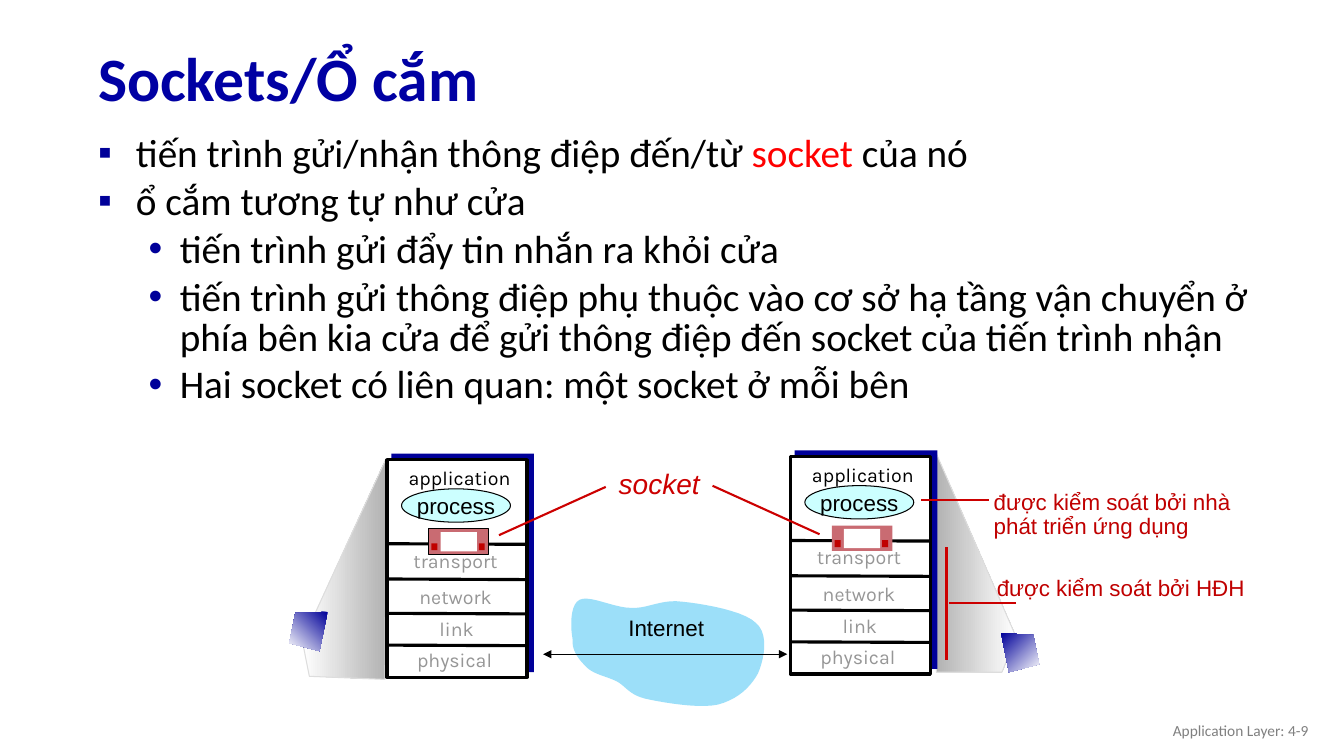
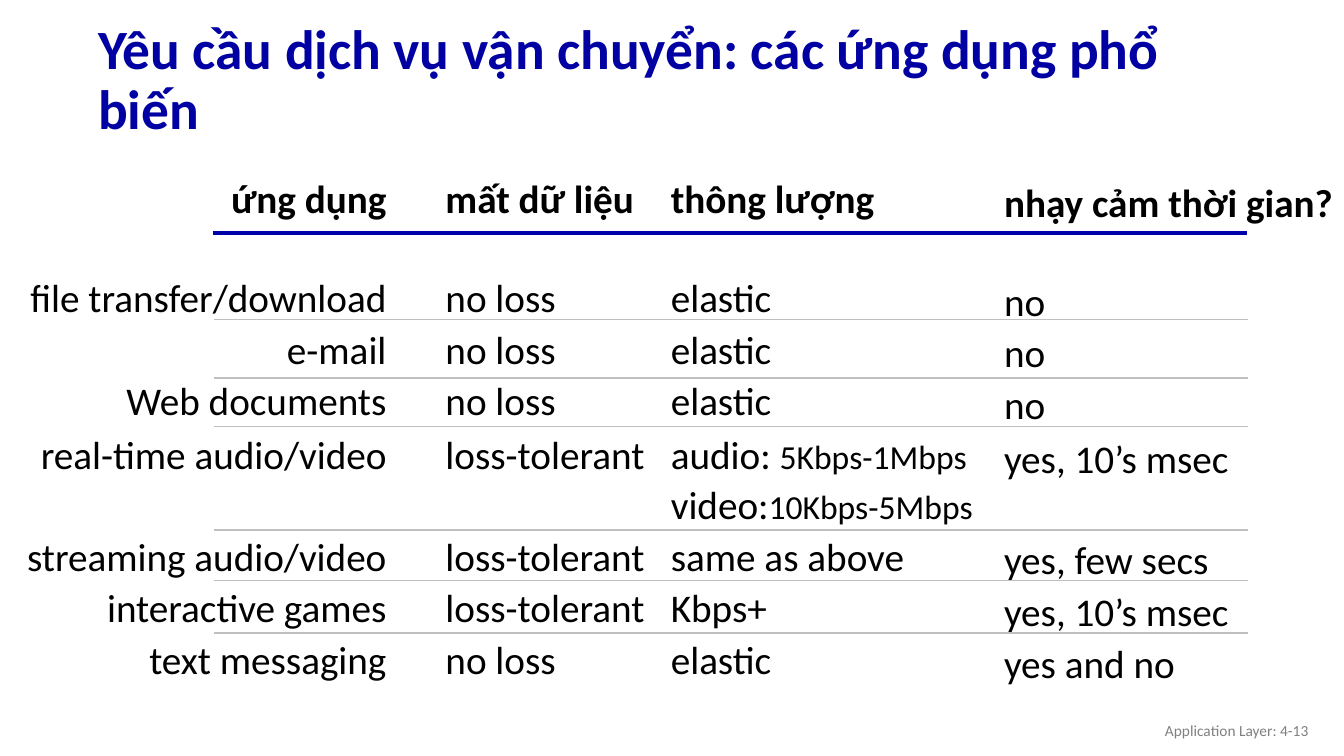
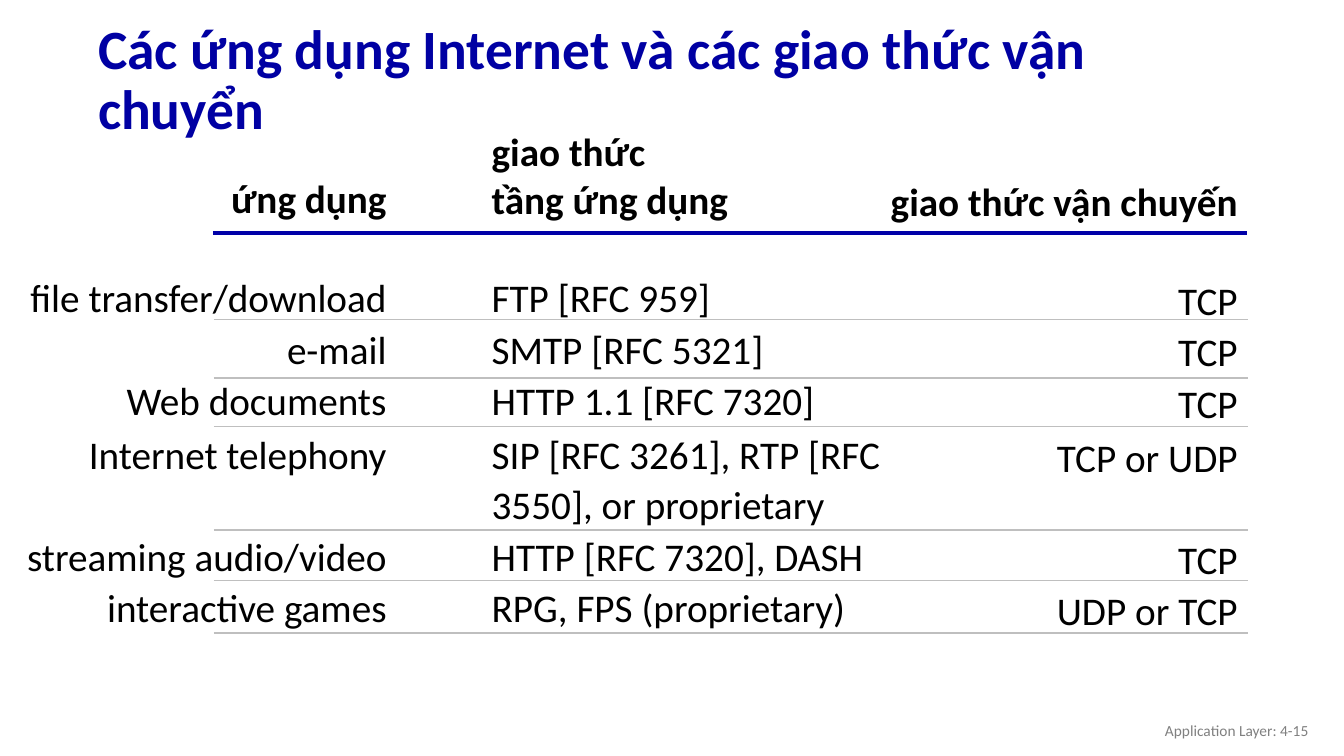
"""Build three lecture slides on sockets and transport service requirements."""
import lxml.etree
import pptx
import pptx.dml.color
import pptx.enum.shapes
import pptx.enum.text
import pptx.oxml.ns
import pptx.util

Pt = pptx.util.Pt
SHAPE = pptx.enum.shapes.MSO_SHAPE
ALIGN = pptx.enum.text.PP_ALIGN
ANCHOR = pptx.enum.text.MSO_ANCHOR

COLORS = {
    "title": "0000A3", "rule": "0000A8", "navy": "000099", "black": "000000",
    "white": "FFFFFF", "red": "FF0000", "pointer": "CC0000", "note": "C00000",
    "grey": "BFBFBF", "footer": "808080", "layer": "969696", "beam": "B2B2B2",
    "edge": "DDDDDD", "cloud": "9CDFF9", "process": "CCFFFF", "door": "C96B72",
}

BULLETS = [
    (0, ["tiến trình gửi/nhận thông điệp đến/từ ", ("socket", {"color": "red"}), " của nó"]),
    (0, "ổ cắm tương tự như cửa"),
    (1, "tiến trình gửi đẩy tin nhắn ra khỏi cửa"),
    (1, "tiến trình gửi thông điệp phụ thuộc vào cơ sở hạ tầng vận chuyển ở phía bên kia "
        "cửa để gửi thông điệp đến socket của tiến trình nhận"),
    (1, "Hai socket có liên quan: một socket ở mỗi bên"),
]
BULLET_LEVELS = [("▪", 27, -27), ("•", 58.3, -22.3)]

LAYERS = [
    ("application", 0, -0.7, "black"), ("transport", -2.9, 58.3, "layer"),
    ("network", -2.9, 84.2, "layer"), ("link", -2.2, 107.3, "layer"),
    ("physical", -3.6, 129.6, "layer"),
]
LAYER_EDGES = [60.1, 85.3, 109.8, 132.5]
HOSTS = [(276.5, 328.3, "black"), (564.6, 326, None)]
BEAMS = [
    ([(216, 457.9), (275.8, 327.6), (275, 485.3), (221, 483.1)], ("white", "beam")),
    ([(725.8, 455), (668.2, 322.6), (668.9, 480.2), (715.7, 480.2)], ("beam", "white")),
]
DEVICES = [
    ([(234, 437), (211, 437.8), (206.6, 459.4), (228.2, 465.1)], 225),
    ([(715, 452.2), (738, 453.6), (742.3, 474.5), (720.7, 480.2)], 315),
]
CLOUD_START = (409, 456.5)
CLOUD_CURVES = [
    [(407.5, 448.6), (406.8, 432), (414, 428.4)], [(421.2, 424.8), (438.5, 434.2), (450.7, 434.2)],
    [(463, 434.9), (472.3, 427.7), (487.4, 429.8)], [(502.6, 431.3), (531.4, 436.3), (540, 445)],
    [(549.4, 452.9), (545.8, 470.9), (541.4, 481)], [(536.4, 490.3), (527, 499.7), (512.6, 503.3)],
    [(499, 506.2), (473, 501.8), (460.8, 499)], [(449.3, 496.1), (447.1, 490.3), (440.6, 486.7)],
    [(433.4, 483.1), (424.1, 481.7), (419, 476.6)], [(414, 471.6), (408.2, 465.1), (409, 456.5)],
]
POINTERS = [
    (706.3, 357.1, 658.1, 357.1), (676.1, 391, 676.1, 471.6), (725.8, 430.6, 678.2, 430.6),
    (356.4, 382.3, 432.7, 347.8), (585.4, 381.6, 509, 347),
]

REQUIREMENTS = {
    "edges": [9, 311, 472, 710, 960],
    "last_align": ALIGN.LEFT,
    "drop": 2.7,
    "rows": [
        ["ứng dụng", "mất dữ liệu", "thông lượng", "nhạy cảm thời gian?"],
        ["file transfer/download", "no loss", "elastic", "no"],
        ["e-mail", "no loss", "elastic", "no"],
        ["Web documents", "no loss", "elastic", "no"],
        ["real-time audio/video", "loss-tolerant",
         (["audio: ", ("5Kbps-1Mbps", {"size": 24})], ["video:", ("10Kbps-5Mbps", {"size": 24})]),
         "yes, 10’s msec"],
        ["streaming audio/video", "loss-tolerant", "same as above", "yes, few secs"],
        ["interactive games", "loss-tolerant", "Kbps+", "yes, 10’s msec"],
        ["text messaging", "no loss", "elastic", "yes and no"],
    ],
}
PROTOCOLS = {
    "edges": [9, 344, 636, 891.2],
    "last_align": ALIGN.RIGHT,
    "drop": 2.1,
    "rows": [
        ["ứng dụng", ("giao thức", "tầng ứng dụng"), "giao thức vận chuyến"],
        ["file transfer/download", "FTP [RFC 959]", "TCP"],
        ["e-mail", "SMTP [RFC 5321]", "TCP"],
        ["Web documents", "HTTP 1.1 [RFC 7320]", "TCP"],
        ["Internet telephony", "SIP [RFC 3261], RTP [RFC 3550], or proprietary", "TCP or UDP"],
        ["streaming audio/video", "HTTP [RFC 7320], DASH", "TCP"],
        ["interactive games", "RPG, FPS (proprietary)", "UDP or TCP"],
    ],
}
TABLE_TOP, HEADER_HEIGHT, ROW_HEIGHT, TALL_ROW = 92.4, 104, 37, 4
HEADER_GAP, NAME_EDGE = 36.3, 276
NO_GRID_STYLE = "{2D5ABB26-0587-4C30-8999-92F81FD0307C}"
ROW_RULES = [228.3, 270, 304.6, 378.7, 414.7, 452.2]


def rgb(name):
    return pptx.dml.color.RGBColor.from_string(COLORS[name])


def style(font, size=None, color=None, name=None, bold=None, italic=None):
    if size:
        font.size = Pt(size)
    if color:
        font.color.rgb = rgb(color)
    if name:
        font.name = name
    if bold is not None:
        font.bold = bold
    if italic is not None:
        font.italic = italic


def write(frame, lines, align=ALIGN.LEFT, spacing=1, **look):
    for number, line in enumerate(lines):
        paragraph = frame.add_paragraph() if number else frame.paragraphs[0]
        paragraph.alignment = align
        paragraph.line_spacing = spacing
        style(paragraph.font, **look)
        for part in [line] if isinstance(line, str) else line:
            words, change = (part, {}) if isinstance(part, str) else part
            run = paragraph.add_run()
            run.text = words
            style(run.font, **change)


def text(slide, box, lines, anchor=ANCHOR.TOP, wrap=True, **look):
    frame = slide.shapes.add_textbox(*map(Pt, box)).text_frame
    frame.word_wrap = wrap
    frame.vertical_anchor = anchor
    write(frame, lines, **look)
    return frame


def outline(shape, color, width):
    shape.shadow.inherit = False
    if color:
        shape.line.color.rgb = rgb(color)
        shape.line.width = Pt(width)
    else:
        shape.line.fill.background()


def block(slide, box, fill, line=None, width=0.75, kind=SHAPE.RECTANGLE):
    shape = slide.shapes.add_shape(kind, *map(Pt, box))
    shape.fill.solid()
    shape.fill.fore_color.rgb = rgb(fill)
    outline(shape, line, width)
    return shape


def polygon(slide, points, line=None):
    corners = [(Pt(x), Pt(y)) for x, y in points]
    builder = slide.shapes.build_freeform(*corners[0], scale=1.0)
    builder.add_line_segments(corners[1:], close=True)
    shape = builder.convert_to_shape()
    outline(shape, line, 0.75)
    return shape


def shade(shape, colors, angle):
    shape.fill.gradient()
    shape.fill.gradient_angle = angle
    for stop, color in zip(shape.fill.gradient_stops, colors):
        stop.color.rgb = rgb(color)


def rule(slide, ends, color, width, arrows=False):
    line = slide.shapes.add_connector(pptx.enum.shapes.MSO_CONNECTOR.STRAIGHT, *map(Pt, ends))
    line.line.color.rgb = rgb(color)
    line.line.width = Pt(width)
    qn = pptx.oxml.ns.qn
    properties = line._element.spPr
    if arrows:
        for end in ("a:headEnd", "a:tailEnd"):
            lxml.etree.SubElement(properties.find(qn("a:ln")), qn(end), type="triangle")
    lxml.etree.SubElement(properties, qn("a:effectLst"))


def bullet(paragraph, level):
    mark, margin, indent = BULLET_LEVELS[level]
    qn = pptx.oxml.ns.qn
    paragraph.level = level
    paragraph.space_before = Pt(5.6)
    properties = paragraph._p.get_or_add_pPr()
    properties.set("marL", str(int(Pt(margin))))
    properties.set("indent", str(int(Pt(indent))))
    color = lxml.etree.Element(qn("a:buClr"))
    lxml.etree.SubElement(color, qn("a:srgbClr"), val=COLORS["navy"])
    face = lxml.etree.Element(qn("a:buFont"), typeface="Arial")
    character = lxml.etree.Element(qn("a:buChar"), char=mark)
    font = properties.find(qn("a:defRPr"))
    for element in (color, face, character):
        font.addprevious(element)


def curve_points(start, curves, steps=10):
    points = [start]
    for a, b, end in curves:
        first = points[-1]
        for step in range(1, steps + 1):
            t = step / steps
            u = 1 - t
            points.append(tuple(
                u**3 * p + 3 * u * u * t * q + 3 * u * t * t * r + t**3 * s
                for p, q, r, s in zip(first, a, b, end)))
    return points[:-1]


def add_slide(deck, title, number, size):
    slide = deck.slides.add_slide(deck.slide_layouts[6])
    text(slide, (63, 23, 828, 70.6), [title], ANCHOR.MIDDLE, spacing=0.9,
         size=size, color="title", name="Calibri", bold=True)
    text(slide, (725.8, 507.6, 216, 28.8), [f"Application Layer: 4-{number}"], ANCHOR.MIDDLE,
         align=ALIGN.RIGHT, size=11, color="footer", name="Calibri")
    return slide


def add_host(slide, x, y, door_line):
    block(slide, (x + 3, y - 4.3, 102, 156.2), "navy")
    block(slide, (x, y, 100, 155.5), "white", "black", 2.25)
    for edge in LAYER_EDGES:
        rule(slide, (x + 0.5, y + edge, x + 99.8, y + edge + 0.4), "black", 2.25)
    for layer, dx, dy, color in LAYERS:
        text(slide, (x + dx, y + dy, 103.7, 26), [layer], align=ALIGN.CENTER, spacing=1.1,
             size=14, color=color, name="Karla")
    process = block(slide, (x + 10.3, y + 20.9, 77.8, 23.8), "process", "black", kind=SHAPE.OVAL)
    process.text_frame.word_wrap = False
    process.text_frame.vertical_anchor = ANCHOR.MIDDLE
    write(process.text_frame, ["process"], ALIGN.CENTER, size=16, color="black", name="Arial")
    block(slide, (x + 29.6, y + 49.5, 43.2, 18), "door", door_line)
    block(slide, (x + 38.2, y + 51.8, 25.9, 13.7), "white")
    for knob in (31.6, 65.5):
        block(slide, (x + knob, y + 59.8, 4.3, 5), "note")


def add_sockets(deck):
    slide = add_slide(deck, "Sockets/Ổ cắm", 9, 44)
    body = text(slide, (63, 93.3, 863.3, 183.6), [line for _, line in BULLETS], spacing=0.85,
                size=28, color="black", name="Calibri")
    for paragraph, (level, _) in zip(body.paragraphs, BULLETS):
        bullet(paragraph, level)
    for points, colors in BEAMS:
        shade(polygon(slide, points, "edge"), colors, 0)
    cloud = polygon(slide, curve_points(CLOUD_START, CLOUD_CURVES))
    cloud.fill.solid()
    cloud.fill.fore_color.rgb = rgb("cloud")
    text(slide, (441.4, 434.9, 69, 26.6), ["Internet"], wrap=False, align=ALIGN.CENTER,
         size=16, color="black", name="Arial")
    rule(slide, (388, 467.3, 562.3, 467.3), "black", 0.75, arrows=True)
    for host in HOSTS:
        add_host(slide, *host)
    text(slide, (704.9, 406.8, 193.7, 46), ["được kiểm soát bởi HĐH"], wrap=False,
         size=16, color="note", name="Arial")
    text(slide, (702.7, 347, 201.6, 42.5), ["được kiểm soát bởi nhà phát triển ứng dụng"],
         spacing=0.9, size=16, color="note", name="Arial")
    for ends in POINTERS:
        rule(slide, ends, "pointer", 1.5)
    text(slide, (434.9, 332.6, 86, 28.8), ["socket"], spacing=0.9,
         size=20, color="pointer", name="Arial", italic=True)
    for points, angle in DEVICES:
        shade(polygon(slide, points), ("navy", "white"), angle)


def add_comparison(deck, title, number, content):
    slide = add_slide(deck, title, number, 39.6)
    edges, rows = content["edges"], content["rows"]
    last = len(edges) - 2
    heights = [HEADER_HEIGHT] + [ROW_HEIGHT] * (len(rows) - 1)
    heights[TALL_ROW] = 2 * ROW_HEIGHT
    box = (edges[0], TABLE_TOP, edges[-1] - edges[0], sum(heights))
    table = slide.shapes.add_table(len(rows), last + 1, *map(Pt, box)).table
    table.first_row = table.horz_banding = False
    table._tbl.tblPr.find(pptx.oxml.ns.qn("a:tableStyleId")).text = NO_GRID_STYLE
    for column, left, right in zip(table.columns, edges, edges[1:]):
        column.width = Pt(right - left)
    for r, (row, height) in enumerate(zip(rows, heights)):
        table.rows[r].height = Pt(height)
        for c, entry in enumerate(row):
            cell = table.cell(r, c)
            cell.fill.background()
            header = r == 0
            drop = content["drop"] if c == last else 0
            align = ALIGN.RIGHT if c == 0 else content["last_align"] if c == last else ALIGN.LEFT
            cell.vertical_anchor = ANCHOR.BOTTOM if header else ANCHOR.TOP
            cell.margin_left = Pt(0 if align == ALIGN.RIGHT else 7.2)
            cell.margin_right = Pt(edges[1] - NAME_EDGE if c == 0
                                   else 7.2 if align == ALIGN.RIGHT else 0)
            cell.margin_top = Pt(0 if header else drop)
            cell.margin_bottom = Pt(HEADER_GAP - drop if header else 0)
            write(cell.text_frame, entry if isinstance(entry, tuple) else [entry], align,
                  1.04 if r == TALL_ROW else 1,
                  size=28, color="black", name="Calibri", bold=header)
    rule(slide, (152, 166.3, 890.6, 166.3), "rule", 2.5)
    for y in ROW_RULES:
        rule(slide, (152.8, y, 891.6, y), "grey", 1.25)


def main():
    deck = pptx.Presentation()
    deck.slide_width, deck.slide_height = Pt(960), Pt(540)
    add_sockets(deck)
    add_comparison(deck, "Yêu cầu dịch vụ vận chuyển: các ứng dụng phổ biến", 13, REQUIREMENTS)
    add_comparison(deck, "Các ứng dụng Internet và các giao thức vận chuyển", 15, PROTOCOLS)
    deck.save("out.pptx")


if __name__ == "__main__":
    main()
